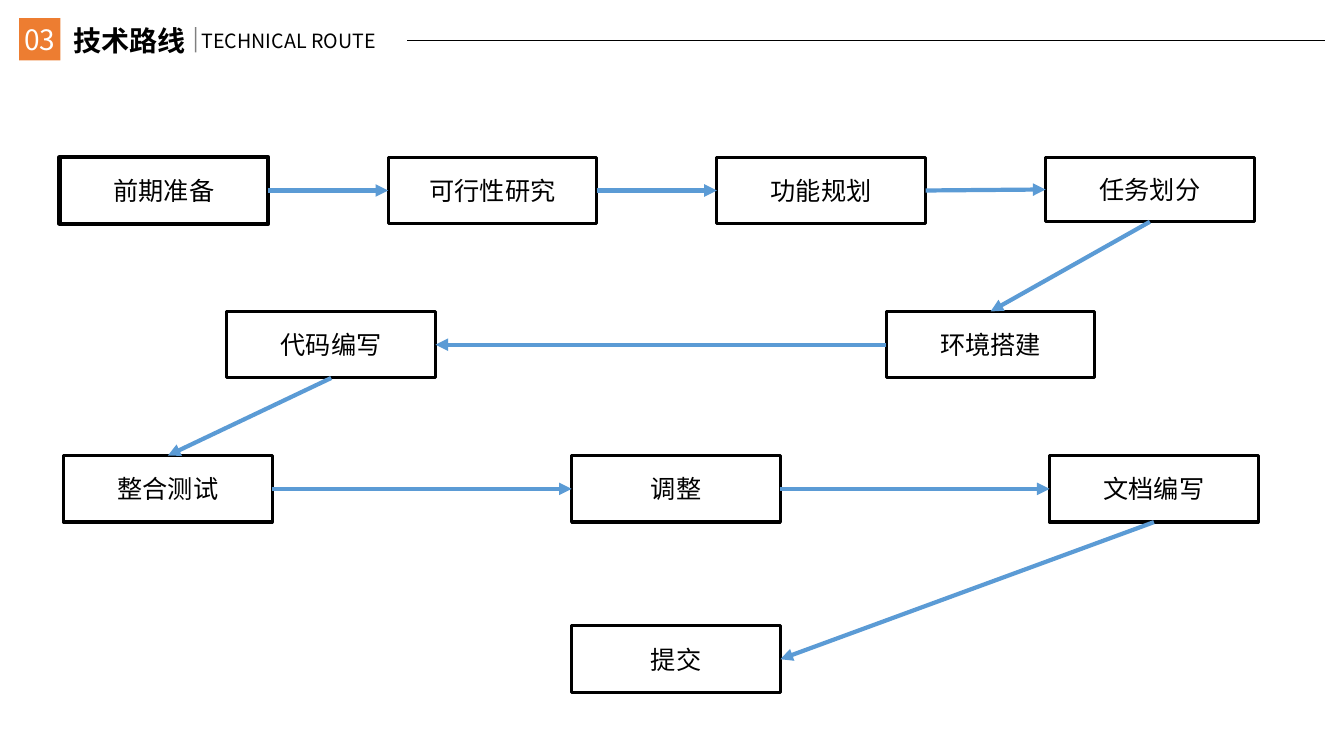
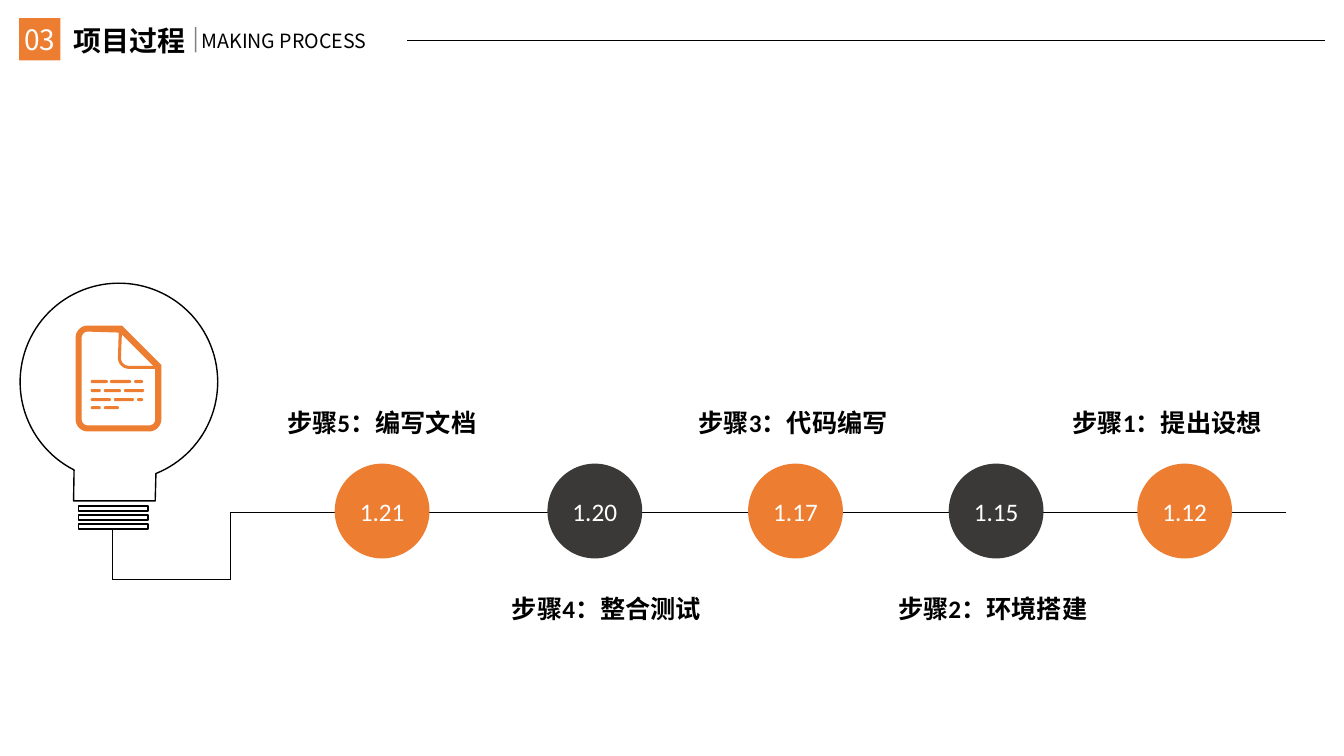
from itertools import pairwise
from math import cos, radians, sin

from lxml.etree import SubElement
from pptx import Presentation
from pptx.dml.color import RGBColor
from pptx.enum.lang import MSO_LANGUAGE_ID
from pptx.enum.shapes import MSO_CONNECTOR, MSO_SHAPE
from pptx.enum.text import MSO_ANCHOR, PP_ALIGN
from pptx.oxml.ns import qn
from pptx.util import Inches, Pt

HUES = {"ink": "000000", "paper": "FFFFFF", "accent": "ED7D31",
        "dark": "3B3838", "arrow": "5B9BD5"}
SANS, BODY = "Noto Sans CJK SC", "Calibri"
TOP, LEFT, BOTTOM, RIGHT = range(4)
BOX_W, BOX_H = 2.07, 0.66

ROWS = [
    (1.56, [(0.59 + 3.26 * i, name) for i, name in
            enumerate(["前期准备", "可行性研究", "功能规划", "任务划分"])]),
    (3.09, [(8.79, "环境搭建"), (2.25, "代码编写")]),
    (4.52, [(0.63, "整合测试"), (5.67, "调整"), (10.41, "文档编写")]),
    (6.21, [(5.67, "提交")]),
]
LINKS = [(RIGHT, LEFT)] * 3 + [(BOTTOM, TOP), (LEFT, RIGHT), (BOTTOM, TOP)]
LINKS += [(RIGHT, LEFT)] * 2 + [(BOTTOM, RIGHT)]

DAYS = [
    ("1.12", 11.28, 10.33, "步骤1", "：提出设想"),
    ("1.15", 9.41, 8.6, "步骤2", "：环境搭建"),
    ("1.17", 7.42, 6.62, "步骤3", "：代码编写"),
    ("1.20", 5.43, 4.77, "步骤4", "：整合测试"),
    ("1.21", 3.32, 2.54, "步骤5", "：编写文档"),
]
WIRE = [(1.11, 5.26), (1.11, 5.75), (2.28, 5.75), (2.28, 5.08), (12.75, 5.08)]
DASHES = [
    (3.77, [(0.9, 0.17), (1.09, 0.21), (1.33, 0.09)]),
    (3.86, [(0.9, 0.1), (1.03, 0.17), (1.23, 0.2)]),
    (3.95, [(0.9, 0.2), (1.13, 0.2), (1.36, 0.06)]),
    (4.03, [(0.9, 0.1), (1.03, 0.15)]),
]


def tint(name):
    return RGBColor.from_string(HUES[name])


def paint(shape, fill=None, edge=None, width=1):
    shape.shadow.inherit = False
    if fill:
        shape.fill.solid()
        shape.fill.fore_color.rgb = tint(fill)
    else:
        shape.fill.background()
    if edge:
        shape.line.color.rgb = tint(edge)
        shape.line.width = Pt(width)
    else:
        shape.line.fill.background()
    return shape


def add_form(slide, kind, area, fill=None, edge=None, width=1):
    shape = slide.shapes.add_shape(kind, *map(Inches, area))
    return paint(shape, fill, edge, width)


def write(shape, text, size, font, hue="ink", bold=False, align=PP_ALIGN.CENTER, pad=0.1):
    frame = shape.text_frame
    frame.word_wrap = True
    frame.vertical_anchor = MSO_ANCHOR.MIDDLE
    frame.margin_left = frame.margin_right = Inches(pad)
    para = frame.paragraphs[0]
    para.alignment = align
    para.add_run().text = text
    style = para.font
    style.name, style.size, style.bold = font, Pt(size), bold
    style.color.rgb = tint(hue)
    style.language_id = MSO_LANGUAGE_ID.SIMPLIFIED_CHINESE
    return para


def add_text(slide, area, *args, **opts):
    return write(slide.shapes.add_textbox(*map(Inches, area)), *args, **opts)


def add_line(slide, start, end, hue="ink", width=0.5):
    line = slide.shapes.add_connector(
        MSO_CONNECTOR.STRAIGHT, *map(Inches, (*start, *end)))
    line.line.color.rgb = tint(hue)
    line.line.width = Pt(width)
    SubElement(line.element.spPr, qn("a:effectLst"))
    return line


def add_path(slide, loops, fill, edge=None):
    loops = [[(Inches(x), Inches(y)) for x, y in loop] for loop in loops]
    pen = slide.shapes.build_freeform(*loops[0][0], scale=1.0)
    for i, loop in enumerate(loops):
        if i:
            pen.move_to(*loop[0])
        pen.add_line_segments(loop[1:], close=True)
    return paint(pen.convert_to_shape(), fill, edge)


def arc(x, y, radius, start, end, step=3):
    count = max(1, round((end - start) / step))
    turns = [radians(start + (end - start) * i / count) for i in range(count + 1)]
    return [(x + radius * cos(t), y + radius * sin(t)) for t in turns]


def add_head(slide, title, note):
    add_text(slide, (0.63, 0.18, 1.38, 0.44), title, 20, SANS,
             bold=True, align=PP_ALIGN.LEFT)
    add_text(slide, (1.9, 0.23, 2.1, 0.34), note, 14, SANS, align=PP_ALIGN.LEFT)
    badge = add_form(slide, MSO_SHAPE.RECTANGLE, (0.19, 0.18, 0.41, 0.42), "accent")
    write(badge, "03", 20, SANS, "paper", pad=0)
    add_line(slide, (4.04, 0.4), (13.14, 0.4))
    bar = add_line(slide, (1.94, 0.27), (1.94, 0.52), width=1)
    color = bar.element.spPr.find(".//" + qn("a:srgbClr"))
    SubElement(color, qn("a:alpha"), val="49000")


def add_route(slide):
    boxes = []
    for y, row in ROWS:
        for x, name in row:
            box = add_form(slide, MSO_SHAPE.RECTANGLE, (x, y, BOX_W, BOX_H),
                           edge="ink", width=2.25 if boxes else 3)
            write(box, name, 18, BODY)
            boxes.append(box)
    boxes[3].height = Inches(0.64)
    for (first, then), (leave, enter) in zip(pairwise(boxes), LINKS):
        line = add_line(slide, (0, 0), (1, 1), "arrow", 3)
        line.begin_connect(first, leave)
        line.end_connect(then, enter)
        SubElement(line.element.spPr.find(qn("a:ln")), qn("a:tailEnd"), type="triangle")


def add_bulb(slide):
    glass = arc(1.18, 3.79, 0.98, 117, 428) + [(1.54, 4.97), (0.73, 4.97)]
    add_path(slide, [glass], "paper", "ink")
    for i in range(3):
        add_form(slide, MSO_SHAPE.RECTANGLE, (0.78, 5.02 + 0.09 * i, 0.69, 0.05),
                 "paper", "ink")


def page_loop(radius, cut):
    return (arc(0.87, 3.35, radius, 180, 270) + cut
            + arc(1.48, 4.16, radius, 0, 90) + arc(0.87, 4.16, radius, 90, 180))


def fold_loop(radius, low, high):
    return [low] + arc(1.28, 3.55, radius, 90, 180) + [high]


def add_page(slide):
    add_path(slide, [page_loop(0.12, [(1.21, 3.23), (1.6, 3.62)]),
                     page_loop(0.06, [(1.19, 3.3), (1.54, 3.65)])], "accent")
    for y, row in DASHES:
        for x, width in row:
            dash = add_form(slide, MSO_SHAPE.ROUNDED_RECTANGLE,
                            (x, y, width, 0.03), "accent")
            dash.adjustments[0] = 0.5
    add_path(slide, [fold_loop(0.11, (1.6, 3.66), (1.18, 3.23)),
                     fold_loop(0.08, (1.53, 3.63), (1.21, 3.3))], "accent")


def add_days(slide):
    for i, (day, x, left, step, task) in enumerate(DAYS):
        hue, y = ("dark", 5.84) if i % 2 else ("accent", 3.99)
        dot = add_form(slide, MSO_SHAPE.OVAL, (x, 4.6, 0.94, 0.94), hue)
        write(dot, day, 18, BODY, "paper", pad=0)
        para = add_text(slide, (left, y, 2.49, 0.4), step, 18, BODY, bold=True)
        run = para.add_run()
        run.text = task
        run.font.name = SANS


def add_process(slide):
    for start, end in pairwise(WIRE):
        add_line(slide, start, end)
    add_bulb(slide)
    add_page(slide)
    add_days(slide)


def main():
    deck = Presentation()
    deck.slide_width, deck.slide_height = Inches(13.33), Inches(7.5)
    for title, note, draw in [("技术路线", "TECHNICAL ROUTE", add_route),
                              ("项目过程", "MAKING PROCESS", add_process)]:
        slide = deck.slides.add_slide(deck.slide_layouts[6])
        add_head(slide, title, note)
        draw(slide)
    deck.save("out.pptx")


if __name__ == "__main__":
    main()
